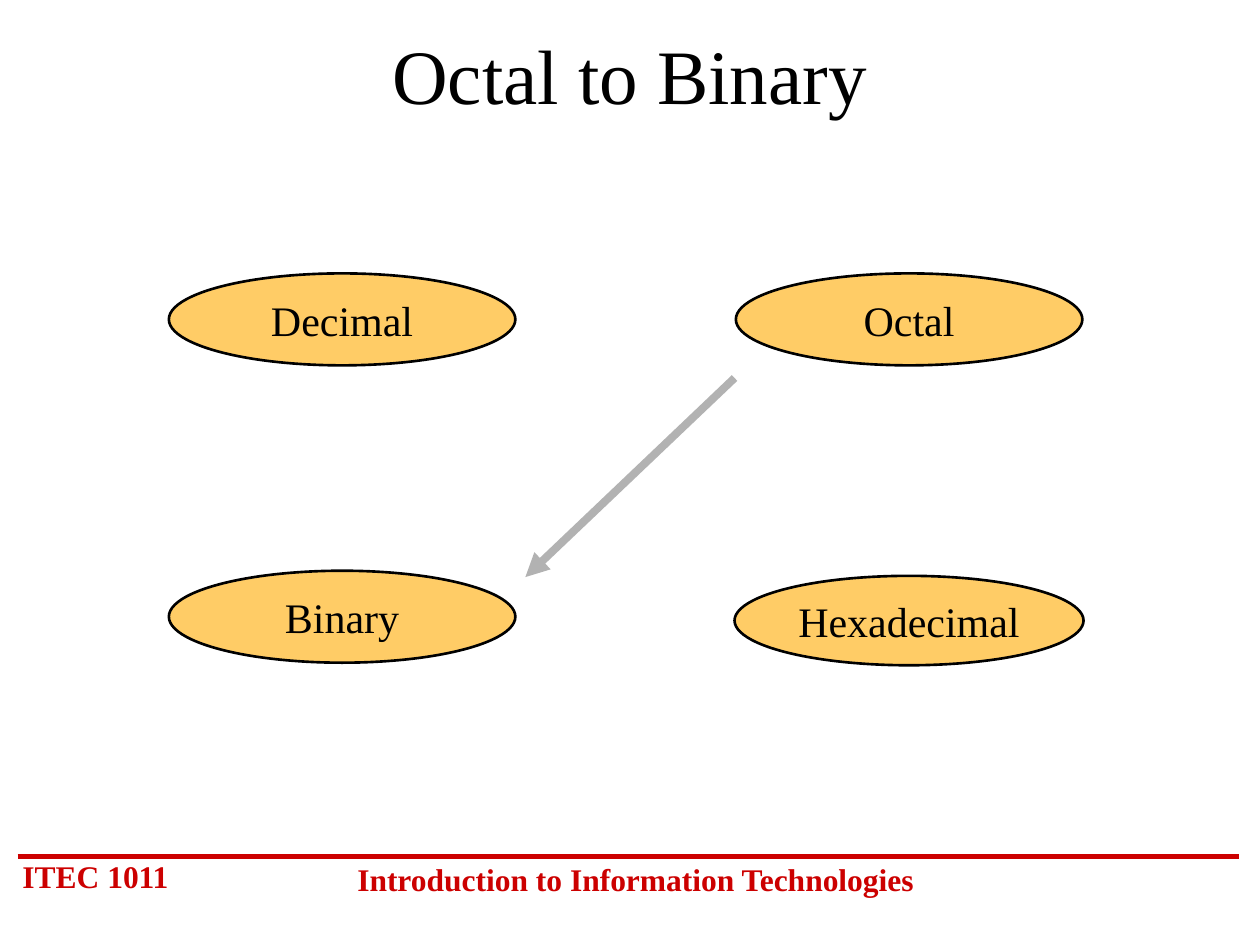
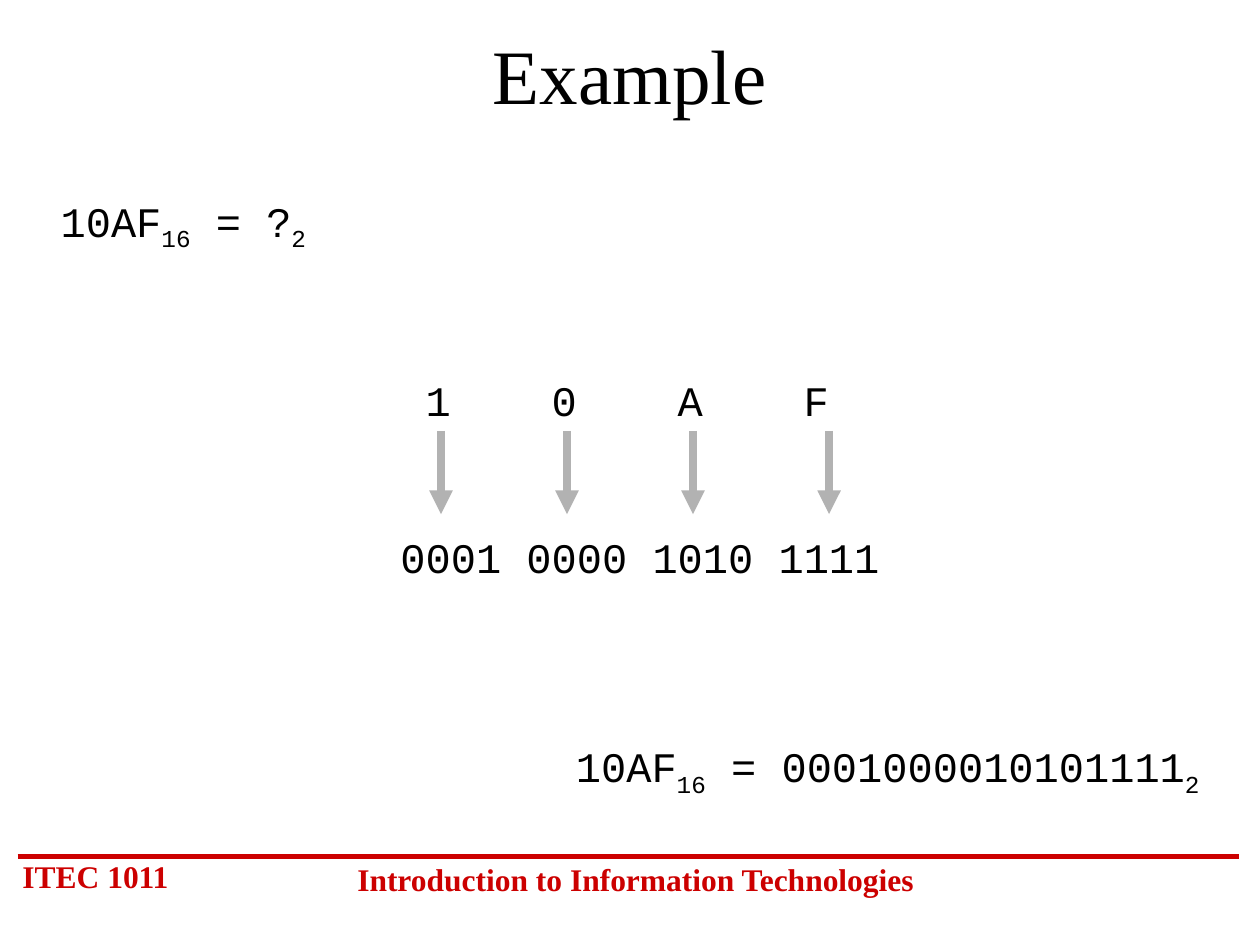
import pptx
import pptx.util
import pptx.dml.color
import pptx.enum.shapes
import pptx.enum.text
import pptx.oxml.ns
import lxml.etree

Inches = pptx.util.Inches
Pt = pptx.util.Pt
ALIGN = pptx.enum.text.PP_ALIGN
MIDDLE = pptx.enum.text.MSO_ANCHOR.MIDDLE
COLORS = {"text": "000000", "footer": "CC0000", "oval": "FFCC66", "arrow": "B2B2B2"}
SERIF = "Times New Roman"
MONO = "Courier New"


def add_text(slide, box, runs, size, font=SERIF, color="text", bold=False, align=ALIGN.CENTER):
    shape = slide.shapes.add_textbox(*[Inches(value) for value in box])
    shape.text_frame.word_wrap = True
    paragraph = shape.text_frame.paragraphs[0]
    paragraph.alignment = align
    for index, text in enumerate(runs):
        run = paragraph.add_run()
        run.text = text
        run.font.name = font
        run.font.size = Pt(size)
        run.font.bold = bold
        run.font.color.rgb = pptx.dml.color.RGBColor.from_string(COLORS[color])
        if index % 2:
            run.font._element.set("baseline", "-25000")
    return shape


def add_line(slide, start, end, color, width, arrow=False):
    line = slide.shapes.add_connector(
        pptx.enum.shapes.MSO_CONNECTOR.STRAIGHT, *[Inches(value) for value in start + end])
    line.line.color.rgb = pptx.dml.color.RGBColor.from_string(COLORS[color])
    line.line.width = Pt(width)
    if arrow:
        outline = line.line._get_or_add_ln()
        lxml.etree.SubElement(outline, pptx.oxml.ns.qn("a:tailEnd"), type="triangle")
    lxml.etree.SubElement(line._element.spPr, pptx.oxml.ns.qn("a:effectLst"))


presentation = pptx.Presentation()
presentation.slide_width = Inches(10)
presentation.slide_height = Inches(7.5)

slides = []
for title in ("Octal to Binary", "Example"):
    slide = presentation.slides.add_slide(presentation.slide_layouts[6])
    add_line(slide, (0.14, 6.8), (9.83, 6.8), "footer", 3)
    add_text(slide, (0.08, 6.75, 1.5, 0.4), ["ITEC 1011"], 18,
             color="footer", bold=True, align=ALIGN.LEFT)
    add_text(slide, (2.67, 6.78, 4.75, 0.4), ["Introduction to Information Technologies"], 18,
             color="footer", bold=True)
    title_box = add_text(slide, (0.75, 0.17, 8.5, 0.83), [title], 44)
    title_box.text_frame.vertical_anchor = MIDDLE
    slides.append(slide)
bases_slide, example_slide = slides

number_bases = [
    ("Hexadecimal", 5.83, 4.57, 2.77, 0.71),
    ("Decimal", 1.34, 2.17, 2.75, 0.73),
    ("Octal", 5.84, 2.17, 2.75, 0.73),
    ("Binary", 1.34, 4.53, 2.75, 0.73),
]
for name, *box in number_bases:
    oval = bases_slide.shapes.add_shape(
        pptx.enum.shapes.MSO_SHAPE.OVAL, *[Inches(value) for value in box])
    oval.shadow.inherit = False
    oval.fill.solid()
    oval.fill.fore_color.rgb = pptx.dml.color.RGBColor.from_string(COLORS["oval"])
    oval.line.color.rgb = pptx.dml.color.RGBColor.from_string(COLORS["text"])
    oval.line.width = Pt(1.5)
    oval.text_frame.text = name
    oval.text_frame.word_wrap = False
    oval.text_frame.vertical_anchor = MIDDLE
    paragraph = oval.text_frame.paragraphs[0]
    paragraph.alignment = ALIGN.CENTER
    font = paragraph.runs[0].font
    font.name = SERIF
    font.size = Pt(24)
    font.color.rgb = pptx.dml.color.RGBColor.from_string(COLORS["text"])
add_line(bases_slide, (5.83, 3), (4.17, 4.58), "arrow", 4.5, arrow=True)

add_text(example_slide, (0.33, 1.5, 2.25, 0.56), ["10AF", "16", " = ?", "2"], 24, MONO)

digits_box = add_text(example_slide, (3.08, 2.92, 4.17, 1.72), ["\t1\t0\tA\tF"], 24, MONO,
                      align=ALIGN.LEFT)
digits = digits_box.text_frame.paragraphs[0]
tab_list = lxml.etree.SubElement(digits._p.get_or_add_pPr(), pptx.oxml.ns.qn("a:tabLst"))
for column in range(4):
    lxml.etree.SubElement(tab_list, pptx.oxml.ns.qn("a:tab"),
                          pos=str(Inches(0.2 + column)), algn="l")
bits = digits_box.text_frame.add_paragraph()
bits.text = "0001 0000 1010 1111"
bits.space_before = Pt(61)
bits.runs[0].font.name = MONO
bits.runs[0].font.size = Pt(24)
bits.runs[0].font.color.rgb = pptx.dml.color.RGBColor.from_string(COLORS["text"])

for x in (3.5, 4.5, 5.5, 6.58):
    add_line(example_slide, (x, 3.42), (x, 4.08), "arrow", 4.5, arrow=True)

add_text(example_slide, (4.42, 5.83, 5.25, 0.56),
         ["10AF", "16", " = 0001000010101111", "2"], 24, MONO)

presentation.save("out.pptx")
